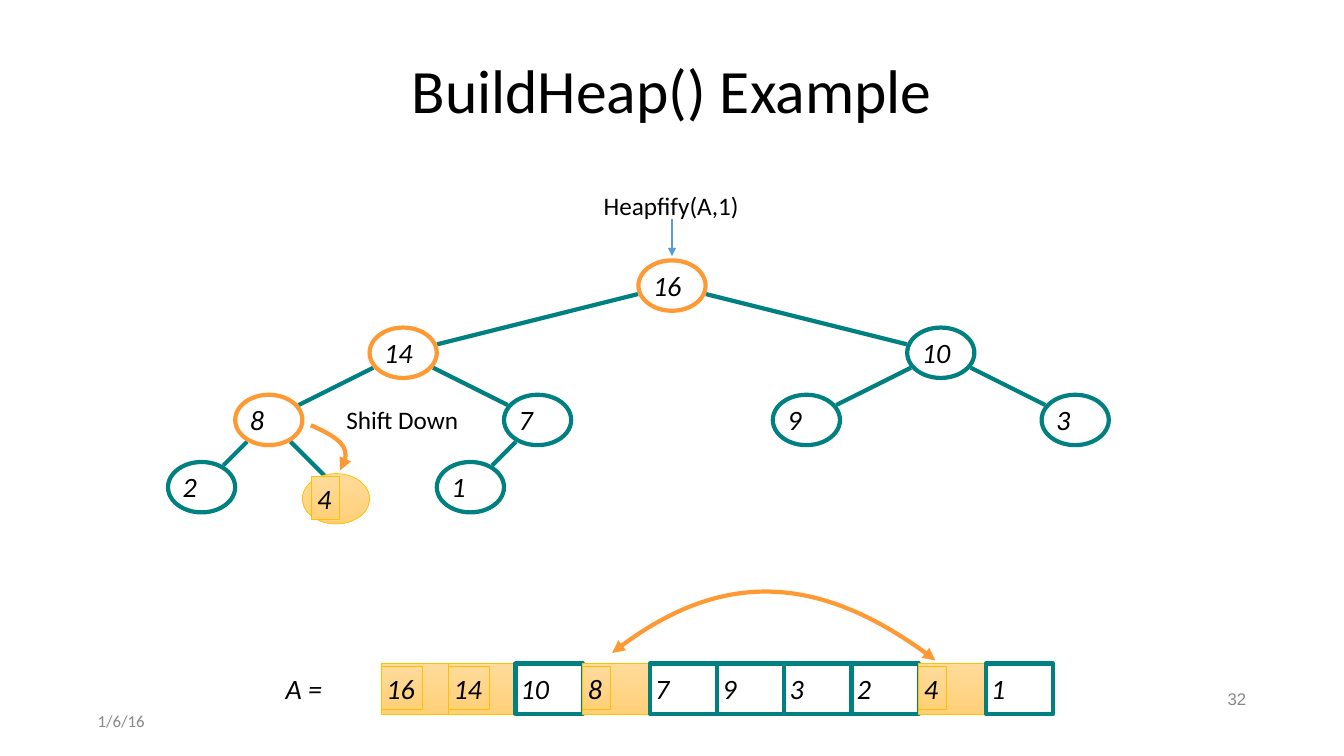
from math import hypot

from lxml.etree import SubElement
from pptx import Presentation
from pptx.dml.color import RGBColor
from pptx.enum.shapes import MSO_CONNECTOR, MSO_SHAPE
from pptx.enum.text import MSO_ANCHOR, MSO_AUTO_SIZE, PP_ALIGN
from pptx.oxml.ns import qn
from pptx.util import Pt

BLACK = RGBColor(0x00, 0x00, 0x00)
WHITE = RGBColor(0xFF, 0xFF, 0xFF)
GRAY = RGBColor(0x88, 0x88, 0x88)
TEAL = RGBColor(0x00, 0x80, 0x80)
ORANGE = RGBColor(0xFF, 0x99, 0x33)
BLUE = RGBColor(0x5B, 0x9B, 0xD5)
GOLD = RGBColor(0xFF, 0xC0, 0x00)
GOLD_LIGHT = RGBColor(0xFF, 0xDB, 0x9B)
GOLD_DARK = RGBColor(0xFF, 0xD0, 0x78)

HEAP = [16, 14, 10, 8, 7, 9, 3, 2, 4, 1]
VISITED_NODES = {0, 1, 3}
SHIFTED_NODE = 8
HIGHLIGHTED_CELLS = {0, 1, 3, 8}

TITLE = ("BuildHeap() Example", (88, 38, 1104, 103))
CALL = ("Heapfify(A,1)", (570, 176, 139, 39))
SHIFT = ("Shift Down", (325, 380, 118, 39))
ARRAY_NAME = ("A =", (267, 635, 46, 41))
DATE = ("1/6/16", (88, 672, 288, 28))
NUMBER = ("32", (904, 653, 288, 28))

CALL_ARROW = ((640, 209), (640, 244))
SWAP_CURVE = [(583, 622), (681, 544), (783, 546), (891, 629)]
SHIFT_CURVE = [(296, 405), (326, 418), (336, 432), (324, 448)]

PX = 9525
SIZE = (64, 48)
ROOT = (640, 272)
LEVEL_GAP = 64
SHIFTED_DROP = 11
EDGE_RADII = (34, 26)
ARRAY_LEFT, ARRAY_TOP = 363, 632

presentation = Presentation()
presentation.slide_width, presentation.slide_height = 1280 * PX, 720 * PX
slide = presentation.slides.add_slide(presentation.slide_layouts[6])
shapes = slide.shapes


def emu(lengths):
    return [round(length * PX) for length in lengths]


def write(shape, text, size, color=BLACK, align=PP_ALIGN.LEFT, anchor=MSO_ANCHOR.MIDDLE,
          italic=False, wrap=False, spacing=None, font="Calibri"):
    frame = shape.text_frame
    frame.word_wrap = wrap
    frame.auto_size = MSO_AUTO_SIZE.NONE if wrap else MSO_AUTO_SIZE.SHAPE_TO_FIT_TEXT
    frame.vertical_anchor = anchor
    frame.margin_left = frame.margin_right = frame.margin_top = frame.margin_bottom = 5 * PX
    paragraph = frame.paragraphs[0]
    paragraph.text = text
    paragraph.alignment = align
    paragraph.line_spacing = spacing
    paragraph.font.name = font
    paragraph.font.size = Pt(size)
    paragraph.font.italic = italic
    paragraph.font.color.rgb = color


def add_text(content, size, **style):
    text, box = content
    write(shapes.add_textbox(*emu(box)), text, size, **style)


def add_box(kind, box, line_color):
    shape = shapes.add_shape(kind, *emu(box))
    shape.shadow.inherit = False
    shape.fill.background()
    shape.line.color.rgb = line_color
    shape.line.width = Pt(3)
    return shape


def add_gold_box(kind, box):
    shape = add_box(kind, box, GOLD)
    shape.line.width = Pt(0.5)
    shape.fill.gradient()
    shape.fill.gradient_angle = 270
    for stop, color in zip(shape.fill.gradient_stops, (GOLD_LIGHT, GOLD_DARK)):
        stop.color.rgb = color
    return shape


def add_value(value, left, top, golden):
    box = (left, top, 13 + 13 * len(str(value)), 41)
    label = add_gold_box(MSO_SHAPE.RECTANGLE, box) if golden else shapes.add_textbox(*emu(box))
    write(label, str(value), 20, italic=True)


def add_arrowheads(shape, *ends):
    for end in ends:
        SubElement(shape.line._get_or_add_ln(), qn(f"a:{end}"), type="triangle")


def add_line(start, end, color, width):
    line = shapes.add_connector(MSO_CONNECTOR.STRAIGHT, *emu(start), *emu(end))
    line.line.color.rgb = color
    line.line.width = Pt(width)
    SubElement(line._element.spPr, qn("a:effectLst"))
    return line


def bezier(points, t):
    weights = ((1 - t) ** 3, 3 * t * (1 - t) ** 2, 3 * t * t * (1 - t), t ** 3)
    return [sum(w * p[axis] for w, p in zip(weights, points)) for axis in (0, 1)]


def add_curve(points, *ends):
    builder = shapes.build_freeform(*emu(points[0]))
    builder.add_line_segments([emu(bezier(points, step / 40)) for step in range(1, 41)], close=False)
    curve = builder.convert_to_shape()
    path = curve._element.spPr.find(".//" + qn("a:path"))
    for segment in path.findall(qn("a:lnTo")):
        path.remove(segment)
    cubic = SubElement(path, qn("a:cubicBezTo"))
    for x, y in map(emu, points[1:]):
        SubElement(cubic, qn("a:pt"), x=str(x - curve.left), y=str(y - curve.top))
    curve.shadow.inherit = False
    curve.fill.background()
    curve.line.color.rgb = ORANGE
    curve.line.width = Pt(3)
    add_arrowheads(curve, *ends)


def node_center(index):
    if index == 0:
        return ROOT
    x, y = node_center((index - 1) // 2)
    depth = (index + 1).bit_length() - 1
    offset = 512 >> depth
    return x + (offset if index % 2 == 0 else -offset), y + LEVEL_GAP


def add_edge(index):
    (x1, y1), (x2, y2) = node_center((index - 1) // 2), node_center(index)
    dx, dy = x2 - x1, y2 - y1
    trim = 1 / hypot(dx / EDGE_RADII[0], dy / EDGE_RADII[1])
    end_trim = 0 if index == SHIFTED_NODE else trim
    add_line((x1 + dx * trim, y1 + dy * trim),
             (x2 - dx * end_trim, y2 - dy * end_trim), TEAL, 3)


def add_node(index, value):
    x, y = node_center(index)
    left, top = x - SIZE[0] // 2, y - SIZE[1] // 2
    shifted = index == SHIFTED_NODE
    if shifted:
        top += SHIFTED_DROP
        add_gold_box(MSO_SHAPE.OVAL, (left, top, *SIZE))
    else:
        color = ORANGE if index in VISITED_NODES else TEAL
        node = add_box(MSO_SHAPE.OVAL, (left, top, *SIZE), color)
        node.fill.solid()
        node.fill.fore_color.rgb = WHITE
    add_value(value, left + 9, top + 3, shifted)


def add_cell(index, value):
    left = ARRAY_LEFT + index * SIZE[0]
    golden = index in HIGHLIGHTED_CELLS
    box = (left, ARRAY_TOP, *SIZE)
    if golden:
        add_gold_box(MSO_SHAPE.RECTANGLE, box)
    else:
        add_box(MSO_SHAPE.RECTANGLE, box, TEAL)
    add_value(value, left, ARRAY_TOP + 3, golden)


add_text(TITLE, 44, align=PP_ALIGN.CENTER, wrap=True, spacing=0.9)
add_text(DATE, 12, color=GRAY, wrap=True)
add_text(NUMBER, 12, color=GRAY, align=PP_ALIGN.RIGHT, wrap=True, spacing=0.9, font="Arial")
for index in range(1, len(HEAP)):
    add_edge(index)
for index, value in enumerate(HEAP):
    add_node(index, value)
for index, value in enumerate(HEAP):
    add_cell(index, value)
add_text(ARRAY_NAME, 20, italic=True)
add_curve(SWAP_CURVE, "headEnd", "tailEnd")
add_curve(SHIFT_CURVE, "tailEnd")
add_text(SHIFT, 18, anchor=MSO_ANCHOR.TOP)
add_text(CALL, 18, anchor=MSO_ANCHOR.TOP)
add_arrowheads(add_line(*CALL_ARROW, BLUE, 1), "tailEnd")

presentation.save("out.pptx")
